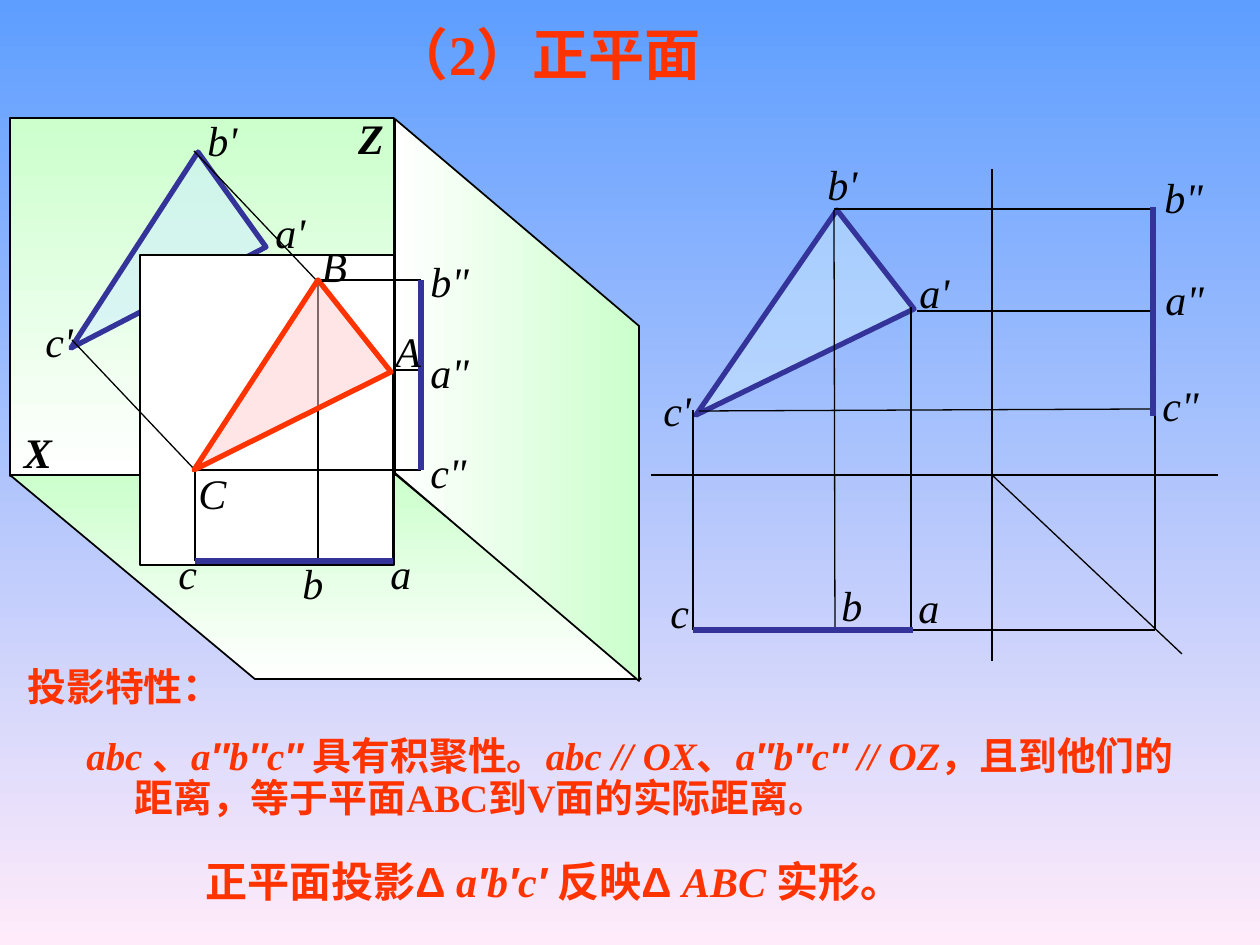
import itertools

import pptx
import pptx.dml.color
import pptx.enum.shapes
import pptx.enum.text
import pptx.oxml
import pptx.oxml.ns
import pptx.util

RGB = pptx.dml.color.RGBColor
SHAPES = pptx.enum.shapes.MSO_SHAPE
ALIGN = pptx.enum.text.PP_ALIGN
ANCHOR = pptx.enum.text.MSO_ANCHOR

EMU_PER_PX = 914400 / 126
LATIN, SYMBOL, CJK = "Times New Roman", "Arial", "Noto Sans CJK SC"
SKY, BLUSH = RGB(0x5E, 0x9E, 0xFF), RGB(0xFF, 0xEB, 0xFA)
MINT, WHITE, BLACK = RGB(0xCC, 0xFF, 0xCC), RGB(255, 255, 255), RGB(0, 0, 0)
NAVY, RED = RGB(0x33, 0x33, 0x99), RGB(0xFF, 0x33, 0x00)
PALE_BLUE, PALE_RED = RGB(0xCC, 0xEC, 0xFF), RGB(0xFF, 0xCC, 0xCC)

# Thin lines: x1, y1, x2, y2
SPACE_PROJECTORS = [
    (393, 370, 421, 370), (72, 340, 195, 470), (318, 280, 421, 280),
    (195, 470, 421, 470), (393, 370, 393, 561), (195, 470, 195, 561),
    (318, 280, 318, 561), (194, 151, 318, 282),
]
SPACE_EDGES = [(195, 561, 393, 561), (421, 280, 421, 470)]
VIEW_AXES = [(992, 661, 992, 169), (1218, 475, 651, 475), (992, 475, 1182, 654)]
VIEW_PROJECTORS = [
    (1154, 209, 834, 209), (911, 630, 911, 307), (917, 311, 1154, 311),
    (834, 210, 835, 630), (1153, 409, 699, 411), (1155, 410, 1155, 630),
    (1155, 630, 693, 630), (693, 410, 693, 630),
]
VIEW_EDGES = [(1153, 416, 1153, 207), (693, 630, 913, 630)]

# Point labels: text, left, top, width
POINT_LABELS = [
    ("b'", 195, 108, 76), ("a'", 263, 200, 105), ("c'", 33, 309, 98),
    ('a"', 418, 340, 122), ('b"', 418, 249, 125), ('c"', 418, 440, 95),
    ("b", 290, 551, 74), ("c", 166, 541, 84), ("a", 378, 541, 49),
    ("C", 186, 461, 37), ("B", 309, 234, 33), ("A", 383, 319, 37),
    ("b'", 815, 152, 84), ("a'", 907, 260, 116), ("c'", 651, 378, 110),
    ('c"', 1150, 373, 71), ('a"', 1153, 267, 73), ('b"', 1152, 165, 81),
    ("b", 829, 573, 96), ("c", 658, 580, 73), ("a", 906, 575, 69),
]
AXIS_LABELS = [("Z", 328, 106, 86), ("X", -5, 420, 86)]

# Runs: text, italic
FEATURE = [
    ("abc ", True), ("、", False), ("a″b″c″ ", True), ("具有积聚性。", False),
    ("abc // OX", True), ("、", False), ("a″b″c″ // OZ", True),
    ("，且到他们的距离，等于平面ABC到V面的实际距离。", False),
]
CONCLUSION = [
    ("正平面投影Δ ", False), ("a′b′c′ ", True), ("反映Δ ", False),
    ("ABC ", True), ("实形。", False),
]


def px(value):
    return pptx.util.Emu(round(value * EMU_PER_PX))


def set_gradient(fill, start, end, angle):
    """Angle runs counter-clockwise from left-to-right."""
    fill.gradient()
    fill.gradient_angle = angle
    for stop, color in zip(fill.gradient_stops, (start, end)):
        stop.color.rgb = color


def set_outline(shape, color, width):
    shape.shadow.inherit = False
    shape.line.color.rgb = color
    shape.line.width = pptx.util.Pt(width)


def add_plane(slide, kind, left, top, width, height):
    plane = slide.shapes.add_shape(kind, px(left), px(top), px(width), px(height))
    set_outline(plane, BLACK, 1)
    return plane


def add_polygon(slide, corners, color, width):
    builder = slide.shapes.build_freeform(*corners[0], scale=EMU_PER_PX)
    builder.add_line_segments(corners[1:], close=True)
    polygon = builder.convert_to_shape()
    set_outline(polygon, color, width)
    return polygon


def add_triangle(slide, corners, fill_color, edge_color):
    """Half-transparent triangle with a heavy edge."""
    triangle = add_polygon(slide, corners, edge_color, 3)
    triangle.fill.solid()
    triangle.fill.fore_color.rgb = fill_color
    tint = triangle.fill._xPr.find(".//" + pptx.oxml.ns.qn("a:srgbClr"))
    tint.append(pptx.oxml.parse_xml(
        f'<a:alpha {pptx.oxml.ns.nsdecls("a")} val="50000"/>'))


def add_lines(slide, lines, color=BLACK, width=0.75):
    for ends in lines:
        line = slide.shapes.add_connector(
            pptx.enum.shapes.MSO_CONNECTOR.STRAIGHT, *map(px, ends))
        line.line.color.rgb = color
        line.line.width = pptx.util.Pt(width)
        line._element.spPr.append(pptx.oxml.parse_xml(
            f'<a:effectLst {pptx.oxml.ns.nsdecls("a")}/>'))


def add_text_box(slide, left, top, width, height, size, color, bold):
    """Return the frame and its first paragraph."""
    frame = slide.shapes.add_textbox(px(left), px(top), px(width), px(height)).text_frame
    frame.word_wrap = True
    paragraph = frame.paragraphs[0]
    paragraph.font.size = pptx.util.Pt(size)
    paragraph.font.color.rgb = color
    paragraph.font.bold = bold
    return frame, paragraph


def add_labels(slide, labels, align=ALIGN.LEFT, bold=False):
    for text, left, top, width in labels:
        _, paragraph = add_text_box(slide, left, top, width, 63, 24, BLACK, bold)
        paragraph.text = text
        paragraph.alignment = align
        paragraph.font.name = LATIN
        paragraph.font.italic = True


def add_run(paragraph, text, font, italic=False):
    run = paragraph.add_run()
    run.text = text
    run.font.name = font
    run.font.italic = italic
    if any(char >= "\u3000" for char in text):
        run.font._element.append(pptx.oxml.parse_xml(
            f'<a:ea {pptx.oxml.ns.nsdecls("a")} typeface="{CJK}"/>'))


def add_statement(slide, box, size, runs, line_spacing=1.0):
    """Hanging paragraph whose primes and deltas use the symbol font."""
    _, paragraph = add_text_box(slide, *box, size, RED, True)
    paragraph.line_spacing = line_spacing
    properties = paragraph._p.get_or_add_pPr()
    properties.set("marL", str(px(48)))
    properties.set("indent", str(-px(48)))
    for text, italic in runs:
        for is_symbol, chars in itertools.groupby(text, lambda char: char in "′″Δ"):
            add_run(paragraph, "".join(chars), SYMBOL if is_symbol else LATIN, italic)


def add_title(slide):
    frame, title = add_text_box(slide, 278, 11, 538, 84, 32, RED, True)
    frame.vertical_anchor = ANCHOR.MIDDLE
    title.alignment = ALIGN.CENTER
    for text, font in (("（", CJK), ("2", LATIN), ("）正平面", CJK)):
        add_run(title, text, font)


def add_space_diagram(slide):
    """Triangle ABC between the three projection planes."""
    back = add_plane(slide, SHAPES.RECTANGLE, 10, 118, 384, 358)
    set_gradient(back.fill, MINT, WHITE, 270)
    floor = add_plane(slide, SHAPES.PARALLELOGRAM, 10, 475, 631, 204)
    floor.adjustments[0] = 1.2
    floor._element.spPr.xfrm.set("flipH", "1")
    set_gradient(floor.fill, MINT, WHITE, 270)
    side = add_polygon(slide, [(395, 119), (639, 326), (639, 681), (395, 473)], BLACK, 1)
    set_gradient(side.fill, WHITE, MINT, 0)

    add_triangle(slide, [(266, 247), (198, 152), (71, 348)], PALE_BLUE, NAVY)
    sheet = add_plane(slide, SHAPES.RECTANGLE, 140, 255, 254, 310)
    sheet.fill.solid()
    sheet.fill.fore_color.rgb = WHITE
    sheet.line.width = pptx.util.Pt(0.75)
    add_lines(slide, SPACE_PROJECTORS)
    add_lines(slide, SPACE_EDGES, NAVY, 3)
    add_triangle(slide, [(391, 372), (318, 280), (194, 470)], PALE_RED, RED)


def add_view_diagram(slide):
    """The three unfolded views."""
    add_triangle(slide, [(914, 309), (837, 210), (696, 415)], PALE_BLUE, NAVY)
    add_lines(slide, VIEW_AXES + VIEW_PROJECTORS)
    add_lines(slide, VIEW_EDGES, NAVY, 3)


def main():
    deck = pptx.Presentation()
    deck.slide_width, deck.slide_height = px(1260), px(945)
    slide = deck.slides.add_slide(deck.slide_layouts[6])
    set_gradient(slide.background.fill, SKY, BLUSH, 270)
    add_title(slide)
    add_view_diagram(slide)
    add_space_diagram(slide)
    add_labels(slide, POINT_LABELS)
    add_labels(slide, AXIS_LABELS, ALIGN.CENTER, bold=True)
    add_statement(slide, (15, 662, 258, 59), 22.2, [("投影特性：", False)], 0.9)
    add_statement(slide, (74, 731, 1142, 110), 22.2, FEATURE, 0.9)
    add_statement(slide, (193, 849, 843, 69), 24, CONCLUSION)
    deck.save("out.pptx")


if __name__ == "__main__":
    main()
